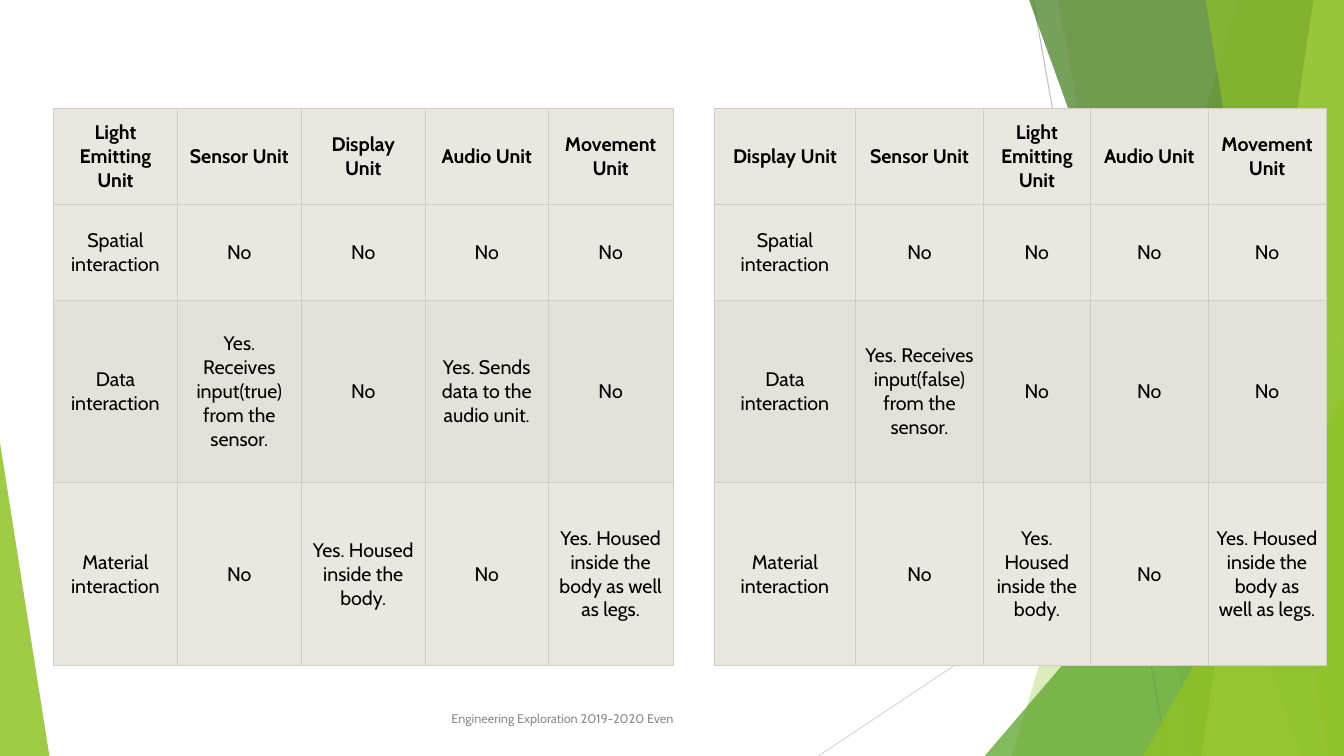
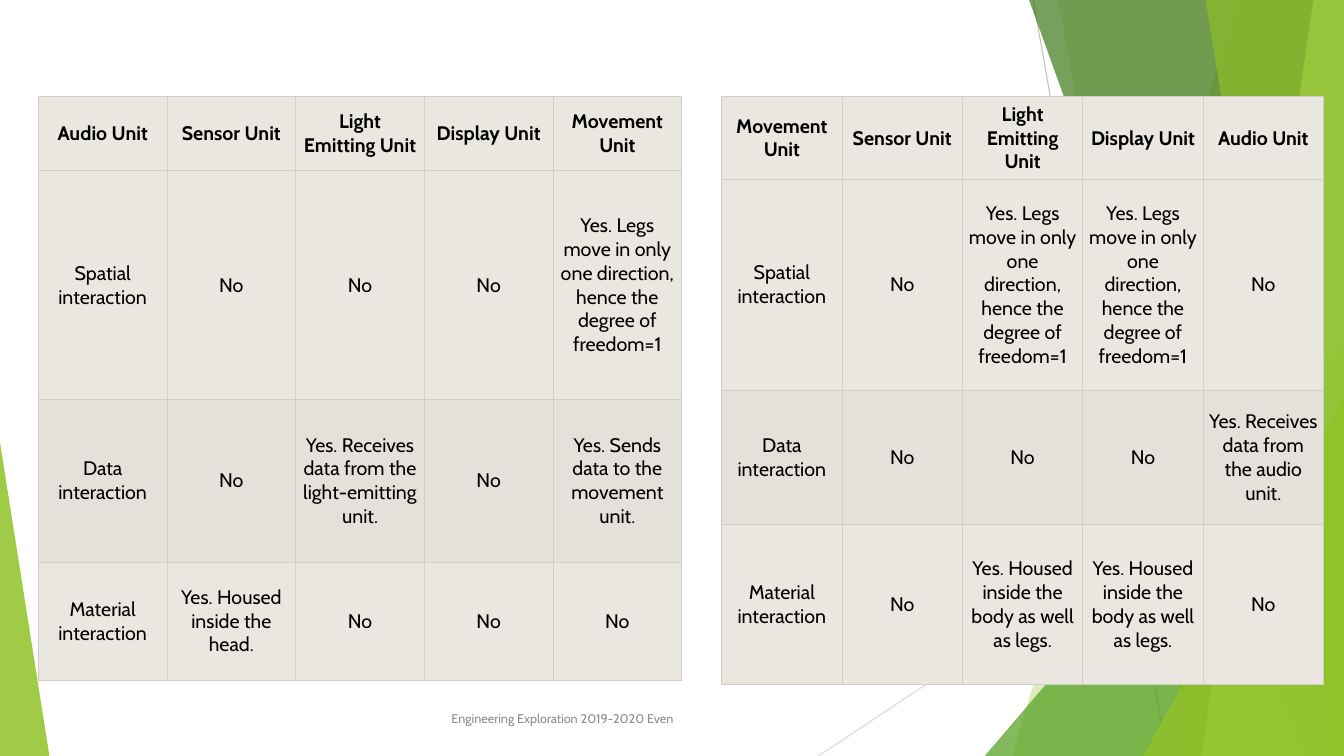
from lxml import etree
from pptx import Presentation
from pptx.dml.color import RGBColor
from pptx.enum import shapes, text
from pptx.oxml.ns import qn
from pptx.util import Pt

WIDTH, HEIGHT = 960, 540
FONT = "Cabin"
LIME, GREEN, FOREST, PALE = "90C226", "54A021", "3F7819", "C0E474"
BLACK, GRAY, BORDER = "000000", "8C8C8C", "D2CEC5"
ROW_FILLS = ("EAE7E1", "EAE7E1", "E4E1DA", "EAE7E1")
FOOTER = "Engineering Exploration 2019-2020 Even"
FOOTER_BOX = (315.4, 497.5, 327, 31.7)

# Facets of the background, back to front: corners, colour, opacity in percent
RIGHT_EDGE = [(WIDTH, 0), (WIDTH, HEIGHT)]
FACETS = [
    ([(884.2, 0), *RIGHT_EDGE, (722.9, HEIGHT)], LIME, 30),
    ([(756, 0), *RIGHT_EDGE, (851.8, HEIGHT)], LIME, 20),
    ([(WIDTH, 239.8), (WIDTH, HEIGHT), (703.4, HEIGHT)], GREEN, 72),
    ([(735.1, 0), *RIGHT_EDGE, (929.5, HEIGHT)], FOREST, 70),
    ([(938.2, 0), *RIGHT_EDGE, (858.2, HEIGHT)], PALE, 70),
    ([(861.1, 0), *RIGHT_EDGE, (949, HEIGHT)], LIME, 65),
    ([(WIDTH, 283), (WIDTH, HEIGHT), (816.5, HEIGHT)], LIME, 80),
    ([(0, 316.1), (35.3, HEIGHT), (0, HEIGHT)], LIME, 85),
]
RAYS = [((738, 0), (833.8, HEIGHT), "BFBFBF"),
        ((WIDTH, 290.2), (584.6, HEIGHT), "D9D9D9")]

# Table wording
LABELS = ("Spatial interaction", "Data interaction", "Material interaction")
SENSOR, LIGHT, DISPLAY, AUDIO, MOVEMENT = (
    "Sensor Unit", "Light Emitting Unit", "Display Unit", "Audio Unit", "Movement Unit")
NO = "No"
IN_BODY = "Yes. Housed inside the body."
IN_LEGS = "Yes. Housed inside the body as well as legs."
FREEDOM = "Yes. Legs move in only one direction, hence the degree of freedom=1"

# One entry per slide, one dictionary per table
SLIDES = [
    [
        dict(corner=(38.2, 77.4), padding=7.2,
             widths=(88.5, 88.5, 88.5, 88, 89), heights=(68.5, 68.5, 130.5, 130.5),
             heads=(LIGHT, SENSOR, DISPLAY, AUDIO, MOVEMENT),
             answers=[
                 (NO, NO, NO, NO),
                 ("Yes. Receives input(true) from the sensor.", NO,
                  "Yes. Sends data to the audio unit.", NO),
                 (NO, IN_BODY, NO, IN_LEGS)]),
        dict(corner=(510.3, 77.4), padding=5.8,
             widths=(100.8, 91.4, 76.3, 84.2, 84.2), heights=(68.5, 68.5, 130.5, 130.5),
             heads=(DISPLAY, SENSOR, LIGHT, AUDIO, MOVEMENT),
             answers=[
                 (NO, NO, NO, NO),
                 ("Yes. Receives input(false) from the sensor.", NO, NO, NO),
                 (NO, IN_BODY, NO, IN_LEGS)]),
    ],
    [
        dict(corner=(27.4, 69), padding=5.3,
             widths=(91.9,) * 5, heights=(52.8, 163.7, 116, 84.3),
             heads=(AUDIO, SENSOR, LIGHT, DISPLAY, MOVEMENT),
             answers=[
                 (NO, NO, NO, FREEDOM),
                 (NO, "Yes. Receives data from the light-emitting unit.", NO,
                  "Yes. Sends data to the movement unit."),
                 ("Yes. Housed inside the head.", NO, NO, NO)]),
        dict(corner=(515.5, 69), padding=4.2,
             widths=(86,) * 5, heights=(59.2, 150.6, 95.9, 114),
             heads=(MOVEMENT, SENSOR, LIGHT, DISPLAY, AUDIO),
             answers=[
                 (NO, FREEDOM, FREEDOM, NO),
                 (NO, NO, NO, "Yes. Receives data from the audio unit."),
                 (NO, IN_LEGS, IN_LEGS, NO)]),
    ],
]


def color(hex_string):
    return RGBColor.from_string(hex_string)


def style_font(font, size, hex_string, bold=False):
    font.name, font.size, font.bold = FONT, Pt(size), bold
    font.color.rgb = color(hex_string)


def add_ray(slide, start, end, hex_string):
    line = slide.shapes.add_connector(
        shapes.MSO_CONNECTOR.STRAIGHT, *[Pt(value) for value in (*start, *end)])
    line.line.color.rgb = color(hex_string)
    line.line.width = Pt(0.75)
    etree.SubElement(line._element.spPr, qn("a:effectLst"))


def add_facet(slide, corners, hex_string, opacity):
    points = [(Pt(x), Pt(y)) for x, y in corners]
    builder = slide.shapes.build_freeform(*points[0])
    builder.add_line_segments(points[1:], close=True)
    facet = builder.convert_to_shape()
    facet.shadow.inherit = False
    facet.fill.solid()
    facet.fill.fore_color.rgb = color(hex_string)
    fill_color = facet._element.spPr.find(".//" + qn("a:srgbClr"))
    etree.SubElement(fill_color, qn("a:alpha"), val=str(opacity * 1000))
    facet.line.fill.background()


def add_background(slide):
    for ray in RAYS:
        add_ray(slide, *ray)
    for facet in FACETS:
        add_facet(slide, *facet)


def add_footer(slide, box):
    frame = slide.shapes.add_textbox(*[Pt(value) for value in box]).text_frame
    frame.word_wrap = True
    frame.vertical_anchor = text.MSO_ANCHOR.MIDDLE
    paragraph = frame.paragraphs[0]
    paragraph.text = FOOTER
    style_font(paragraph.font, 9, GRAY)


def set_borders(cell):
    properties = cell._tc.get_or_add_tcPr()
    for side in ("a:lnL", "a:lnR", "a:lnT", "a:lnB"):
        line = etree.SubElement(properties, qn(side), w=str(Pt(0.6)))
        fill = etree.SubElement(line, qn("a:solidFill"))
        etree.SubElement(fill, qn("a:srgbClr"), val=BORDER)


def fill_cell(cell, words, fill, padding, bold):
    set_borders(cell)
    cell.fill.solid()
    cell.fill.fore_color.rgb = color(fill)
    cell.margin_left = cell.margin_right = Pt(padding)
    cell.margin_top = cell.margin_bottom = Pt(padding / 2)
    cell.vertical_anchor = text.MSO_ANCHOR.MIDDLE
    paragraph = cell.text_frame.paragraphs[0]
    paragraph.text = words
    paragraph.alignment = text.PP_ALIGN.CENTER
    style_font(paragraph.font, 14, BLACK, bold)


def add_interactions(slide, corner, padding, widths, heights, heads, answers):
    rows = [heads] + [(label, *row) for label, row in zip(LABELS, answers)]
    box = (*corner, sum(widths), sum(heights))
    table = slide.shapes.add_table(
        len(rows), len(heads), *[Pt(value) for value in box]).table
    table.horz_banding = False
    for column, width in zip(table.columns, widths):
        column.width = Pt(width)
    for index, (row, height) in enumerate(zip(rows, heights)):
        table.rows[index].height = Pt(height)
        for cell, words in zip(table.rows[index].cells, row):
            fill_cell(cell, words, ROW_FILLS[index], padding, bold=index == 0)


def add_slide(presentation, tables):
    slide = presentation.slides.add_slide(presentation.slide_layouts[6])
    add_background(slide)
    add_footer(slide, FOOTER_BOX)
    for table in tables:
        add_interactions(slide, **table)


def main():
    presentation = Presentation()
    presentation.slide_width, presentation.slide_height = Pt(WIDTH), Pt(HEIGHT)
    for tables in SLIDES:
        add_slide(presentation, tables)
    presentation.save("out.pptx")


if __name__ == "__main__":
    main()
